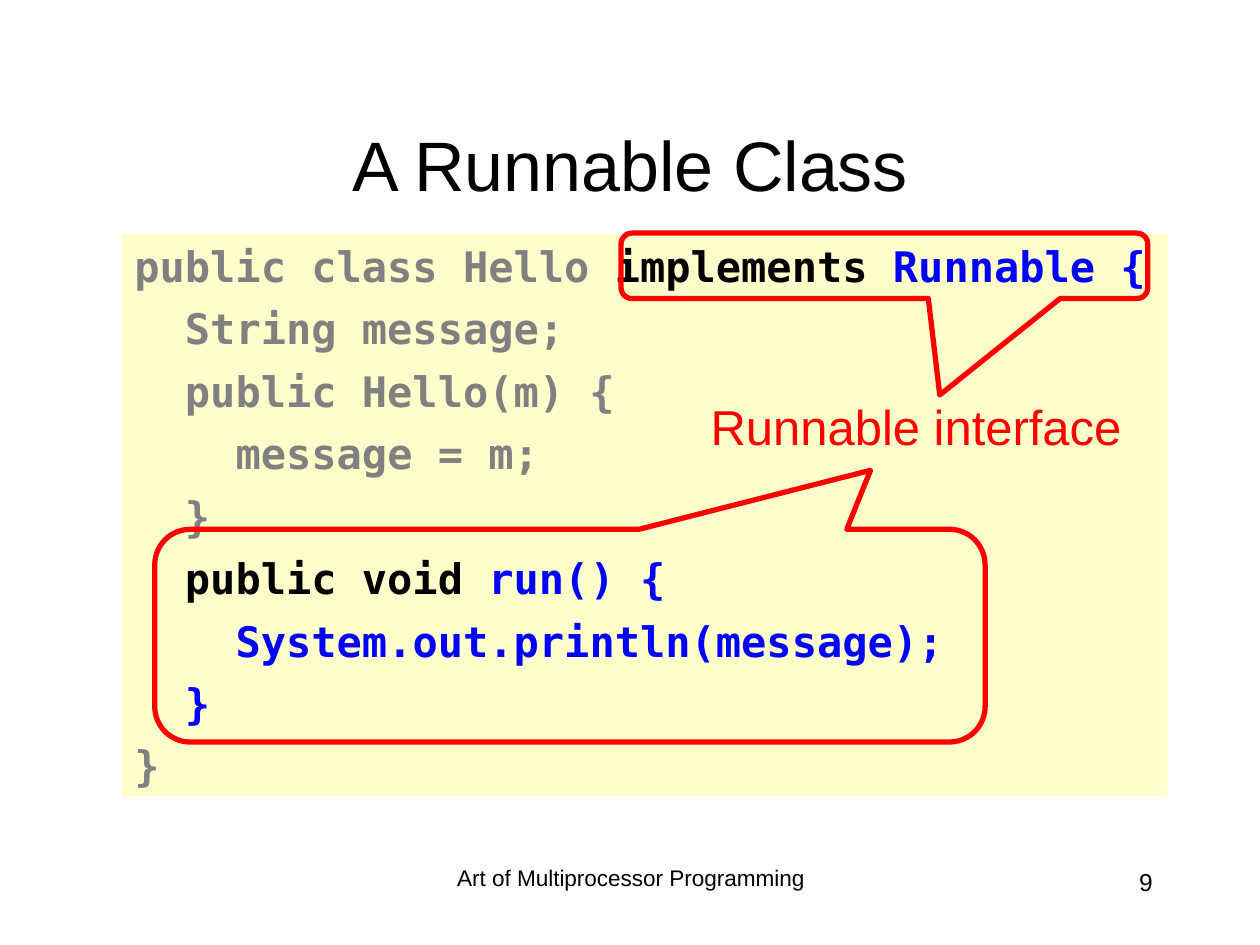
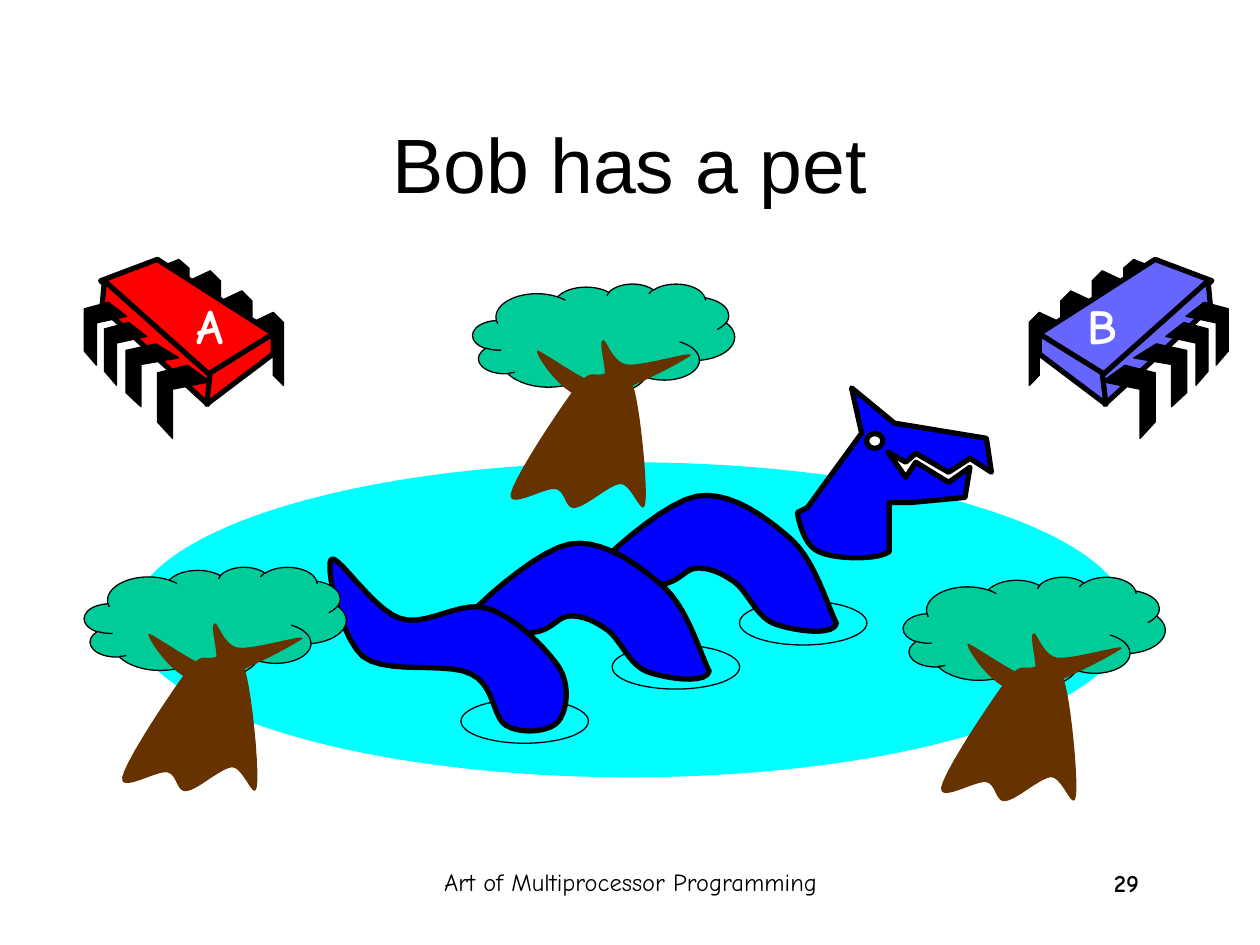
from dataclasses import dataclass

from pptx import Presentation
from pptx.dml.color import RGBColor
from pptx.enum.shapes import MSO_SHAPE
from pptx.enum.text import MSO_ANCHOR, PP_ALIGN
from pptx.util import Cm, Pt


@dataclass(frozen=True)
class Theme:
    """Colours, fonts and type sizes of the deck."""
    black: str = "000000"
    white: str = "FFFFFF"
    gray: str = "808080"
    blue: str = "0000FF"
    red: str = "FF0000"
    violet: str = "6666FF"
    cream: str = "FFFFCC"
    water: str = "00FFFF"
    leaf: str = "00CC99"
    bark: str = "663300"
    sans: str = "Arial"
    comic: str = "Comic Neue"
    mono: str = "DejaVu Sans Mono"
    small: float = 14
    code: float = 24
    label: float = 28
    thin: float = 0.75
    thick: float = 3


@dataclass(frozen=True)
class Box:
    """A rectangle in centimetres."""
    left: float
    top: float
    width: float
    height: float

    def lengths(self):
        """Return the four sides as slide lengths."""
        return Cm(self.left), Cm(self.top), Cm(self.width), Cm(self.height)

    def inner(self, left, top, width, height):
        """Return a rectangle placed relative to this one."""
        return Box(self.left + left, self.top + top, width, height)


THEME = Theme()
STEP = Cm(2.54) / 100
STEP_CM = 0.0254
CURVE_PARTS = 10

TITLE_BOX = Box(1.9, 1.7, 21.6, 3.18)
FOOTER_BOX = Box(8.69, 17.35, 8.05, 1.27)
INDENT = 1.02

CODE = [
    (0, [("public class Hello ", THEME.gray), ("implements", THEME.black),
         (" Runnable {", THEME.blue)]),
    (1, [("String message;", THEME.gray)]),
    (1, [("public Hello(m) {", THEME.gray)]),
    (2, [("message = m;", THEME.gray)]),
    (1, [("}", THEME.gray)]),
    (1, [("public void", THEME.black), (" run() {", THEME.blue)]),
    (2, [("System.out.println(message);", THEME.blue)]),
    (1, [("}", THEME.blue)]),
    (0, [("}", THEME.gray)]),
]

BACK_LEG = [(0, 8), (17, 0), (25, 8), (25, 58), (17, 50), (17, 17), (0, 25)]
FRONT_LEG = [(24, 0), (42, 13), (12, 19), (12, 58), (0, 45), (0, 6)]
BACK_LEGS = [(133, 42, 1, 1), (108, 25, 1, 1), (83, 9, 1, 1), (58, 0, 1, 0.86)]
FRONT_LEGS = [(58, 84, 1, 1), (33, 67, 1, 0.86), (16, 50, 0.8, 0.86), (0, 34, 0.8, 0.86)]
CHIP_FACES = [
    [(58, 0), (150, 59), (98, 93), (13, 17)],
    [(16, 17), (100, 92), (98, 115), (14, 38)],
    [(150, 59), (150, 75), (97, 115), (100, 90)],
]
TRUNK = [
    (81, 83), (93, 68, 94, 73, 102, 72), (109, 71, 121, 63, 127, 80),
    (133, 97, 139, 161, 137, 174), (135, 188, 126, 158, 117, 159),
    (108, 160, 90, 177, 81, 178), (73, 179, 74, 165, 66, 163),
    (58, 161, 28, 180, 30, 167), (33, 153, 69, 99, 81, 83),
]
BRANCHES = [
    (51, 53), (49, 55, 71, 90, 91, 91), (112, 92, 168, 61, 173, 57),
    (178, 52, 134, 66, 122, 64), (110, 62, 106, 42, 103, 45),
    (99, 47, 110, 78, 102, 80), (93, 81, 52, 51, 51, 53),
]
HUMP = [
    (203, 106), (200, 117, 166, 111, 153, 106), (139, 100, 132, 80, 122, 73),
    (112, 66, 103, 62, 93, 62), (83, 62, 79, 73, 64, 75),
    (50, 76, 0, 83, 5, 71), (10, 60, 65, 10, 92, 5),
    (119, 0, 149, 23, 168, 40), (186, 57, 196, 92, 203, 106),
]
HEAD = [
    (8, 95), (51, 36), (43, 0), (77, 28), (150, 40), (154, 67), (137, 56),
    (120, 67), (94, 52), (86, 59), (72, 51), (86, 71), (94, 59), (120, 75),
    (137, 63), (133, 87), (90, 91), (73, 91), (73, 130),
    (63, 137, 29, 136, 17, 130), (5, 125, 1, 105, 0, 99),
]
TAIL = [
    (5, 5), (10, 0, 39, 46, 60, 52), (80, 59, 108, 37, 129, 44),
    (150, 50, 176, 76, 186, 91), (195, 106, 192, 126, 185, 134),
    (178, 142, 156, 144, 144, 137), (133, 131, 135, 105, 116, 96),
    (97, 86, 49, 97, 30, 82), (12, 66, 0, 10, 5, 5),
]


def write(frame, text, size=THEME.small, font=THEME.sans, color=THEME.black, bold=False,
          align=PP_ALIGN.LEFT, anchor=MSO_ANCHOR.TOP, wrap=True, before=0, spacing=None):
    """Fill a text frame with a string or with rows of (indent level, coloured spans)."""
    frame.word_wrap = wrap
    frame.vertical_anchor = anchor
    rows = [(0, [(text, color)])] if isinstance(text, str) else text
    for number, (level, pieces) in enumerate(rows):
        para = frame.add_paragraph() if number else frame.paragraphs[0]
        para.alignment = align
        para.space_before = Pt(before)
        para.line_spacing = spacing
        if level:
            para._p.get_or_add_pPr().set("marL", str(Cm(INDENT * level)))
        for piece, tint in pieces:
            span = para.add_run()
            span.text = piece
            span.font.size = Pt(size)
            span.font.name = font
            span.font.bold = bold
            span.font.color.rgb = RGBColor.from_string(tint)


def add_text(shapes, box, text, **style):
    """Add a text box."""
    write(shapes.add_textbox(*box.lengths()).text_frame, text, **style)


def paint(shape, fill=None, line=None, width=THEME.thin):
    """Set the fill and outline of a shape and drop its shadow."""
    shape.shadow.inherit = False
    if fill:
        shape.fill.solid()
        shape.fill.fore_color.rgb = RGBColor.from_string(fill)
    else:
        shape.fill.background()
    if line:
        shape.line.color.rgb = RGBColor.from_string(line)
        shape.line.width = Pt(width)
    else:
        shape.line.fill.background()


def add_preset(shapes, kind, box, adjust=(), **look):
    """Add a painted preset shape."""
    shape = shapes.add_shape(kind, *box.lengths())
    for index, value in enumerate(adjust):
        shape.adjustments[index] = value
    paint(shape, **look)
    return shape


def flatten(outline):
    """Turn corners and cubic curves into a list of points."""
    points = []
    for part in outline:
        if len(part) == 2:
            points.append(part)
            continue
        knots = [points[-1], part[:2], part[2:4], part[4:]]
        for count in range(1, CURVE_PARTS + 1):
            t = count / CURVE_PARTS
            weights = ((1 - t) ** 3, 3 * t * (1 - t) ** 2, 3 * t * t * (1 - t), t ** 3)
            points.append(tuple(sum(w * knot[axis] for w, knot in zip(weights, knots))
                                for axis in (0, 1)))
    return points


def add_outline(shapes, box, outline, left=0, top=0, stretch=(1, 1), mirror=False, **look):
    """Draw a closed outline, given in steps, at an offset inside a box."""
    points = []
    for x, y in flatten(outline):
        across = (left + x * stretch[0]) * STEP
        if mirror:
            across = Cm(box.width) - across
        points.append((Cm(box.left) + across, Cm(box.top) + (top + y * stretch[1]) * STEP))
    builder = shapes.build_freeform(*points[0], scale=1.0)
    builder.add_line_segments(points[1:], close=True)
    paint(builder.convert_to_shape(), **look)


def add_frame(page, title, title_size, number, number_box, number_style, footer_style):
    """Add the title, footer and slide number."""
    add_text(page.shapes, TITLE_BOX, title, size=title_size,
             align=PP_ALIGN.CENTER, anchor=MSO_ANCHOR.MIDDLE)
    add_text(page.shapes, FOOTER_BOX, "Art of Multiprocessor Programming",
             align=PP_ALIGN.CENTER, **footer_style)
    add_text(page.shapes, number_box, number, align=PP_ALIGN.RIGHT, **number_style)


def add_code(page, box):
    """Add the code panel with its two callouts and their label."""
    panel = add_preset(page.shapes, MSO_SHAPE.RECTANGLE, box, fill=THEME.cream)
    write(panel.text_frame, CODE, size=THEME.code, font=THEME.mono, bold=True, before=6.9)
    callouts = [(box.inner(10.06, -0.02, 10.62, 1.32), (0.105, 1.972, 0.167)),
                (box.inner(0.66, 5.95, 16.74, 4.29), (0.362, -0.777, 0.167))]
    for place, adjust in callouts:
        add_preset(page.shapes, MSO_SHAPE.ROUNDED_RECTANGULAR_CALLOUT, place, adjust,
                   line=THEME.red, width=THEME.thick)
    add_text(page.shapes, box.inner(9.68, 3.15, 12.65, 1.45), "Runnable interface",
             size=THEME.label, color=THEME.red, align=PP_ALIGN.CENTER)


def add_chip(page, box, letter, color, mirror=False):
    """Add a processor chip with its legs and letter."""
    shapes = page.shapes.add_group_shape().shapes

    def add_legs(leg, places):
        """Add one row of legs."""
        for left, top, *stretch in places:
            add_outline(shapes, box, leg, left, top, stretch, mirror,
                        fill=THEME.black, line=THEME.black)

    add_legs(BACK_LEG, BACK_LEGS)
    for face in CHIP_FACES:
        add_outline(shapes, box, face, mirror=mirror, fill=color,
                    line=THEME.black, width=THEME.thick)
    add_legs(FRONT_LEG, FRONT_LEGS)
    width = 1.08
    left = box.width - 2 - width if mirror else 2
    add_text(shapes, box.inner(left, 0.61, width, 1.45), letter, size=THEME.label,
             font=THEME.comic, color=THEME.white, bold=True,
             align=PP_ALIGN.CENTER, wrap=False)


def add_tree(page, box):
    """Add a tree with its crown, trunk and branches."""
    shapes = page.shapes.add_group_shape().shapes
    add_preset(shapes, MSO_SHAPE.CLOUD_CALLOUT, box.inner(0, 0, box.width, 2.21),
               (0.018, 0.493), fill=THEME.leaf, line=THEME.black)
    for outline in (TRUNK, BRANCHES):
        add_outline(shapes, box, outline, fill=THEME.bark)


def add_serpent(page, box):
    """Add the lake serpent and the ripples around it."""
    skin = {"fill": THEME.blue, "line": THEME.black, "width": THEME.thick}
    for left, top in ((228, 204), (108, 247), (329, 169)):
        ripple = box.inner(left * STEP_CM, top * STEP_CM, 2.57, 0.89)
        add_preset(page.shapes, MSO_SHAPE.OVAL, ripple, line=THEME.black)
    for outline, left, top in ((HUMP, 203, 81), (HUMP, 102, 119), (HEAD, 375, 0), (TAIL, 0, 131)):
        add_outline(page.shapes, box, outline, left, top, **skin)
    add_preset(page.shapes, MSO_SHAPE.OVAL, box.inner(10.92, 0.92, 0.33, 0.3),
               **{**skin, "fill": THEME.white})


def build_code_slide(deck):
    """Build the slide on the Runnable class."""
    page = deck.slides.add_slide(deck.slide_layouts[6])
    add_frame(page, "A Runnable Class", 40, "9", Box(18.21, 17.35, 5.28, 1.27),
              {}, {"size": 12.9, "spacing": 0.9})
    add_code(page, Box(2.46, 4.72, 21.08, 11.33))


def build_pet_slide(deck):
    """Build the slide with the lake, chips, serpent and trees."""
    page = deck.slides.add_slide(deck.slide_layouts[6])
    add_frame(page, "Bob has a pet", 44, "29", Box(17.93, 17.37, 5.28, 1.27),
              {"font": THEME.comic, "bold": True}, {"font": THEME.comic})
    add_chip(page, Box(1.7, 5.23, 4.01, 3.61), "A", THEME.red)
    add_chip(page, Box(20.75, 5.23, 4.01, 3.61), "B", THEME.violet, mirror=True)
    add_preset(page.shapes, MSO_SHAPE.OVAL, Box(2.64, 9.32, 20.12, 6.35), fill=THEME.water)
    add_serpent(page, Box(6.55, 7.82, 13.44, 6.96))
    for left, top in ((9.53, 5.72), (18.21, 11.63), (1.7, 11.43)):
        add_tree(page, Box(left, top, 5.28, 4.78))


def main():
    """Build and save the deck."""
    deck = Presentation()
    deck.slide_width, deck.slide_height = Cm(25.4), Cm(19.05)
    build_code_slide(deck)
    build_pet_slide(deck)
    deck.save("out.pptx")


if __name__ == "__main__":
    main()
